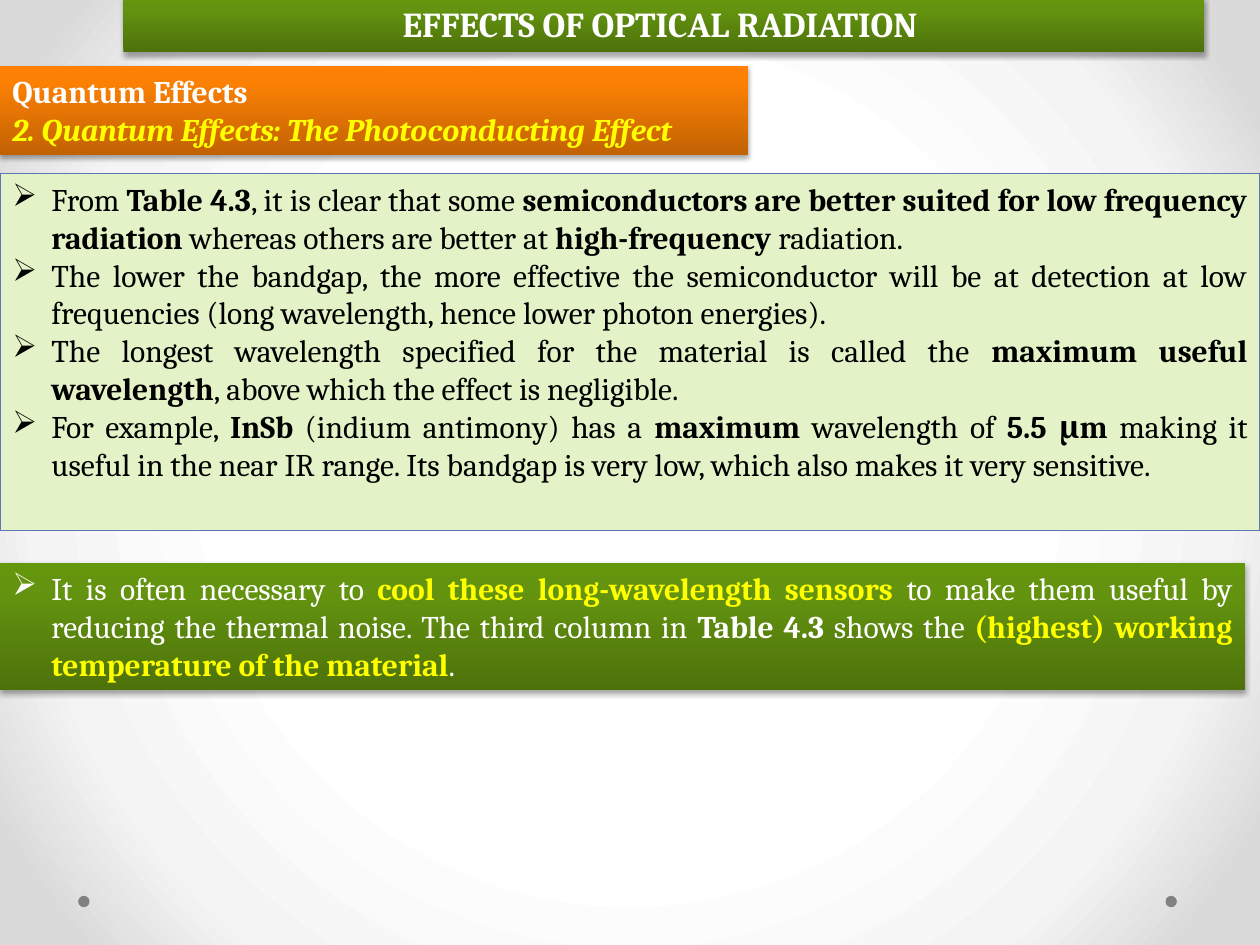
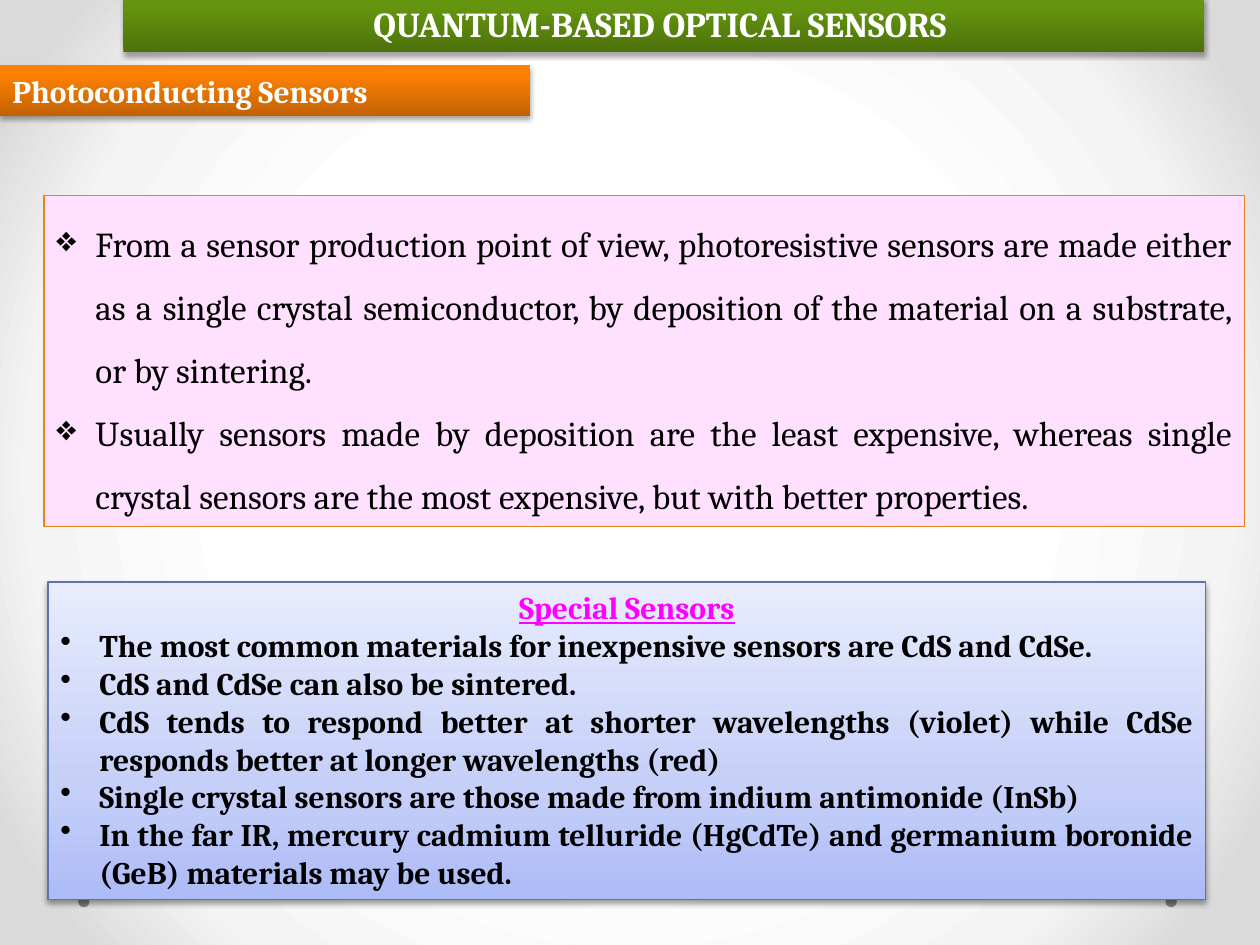
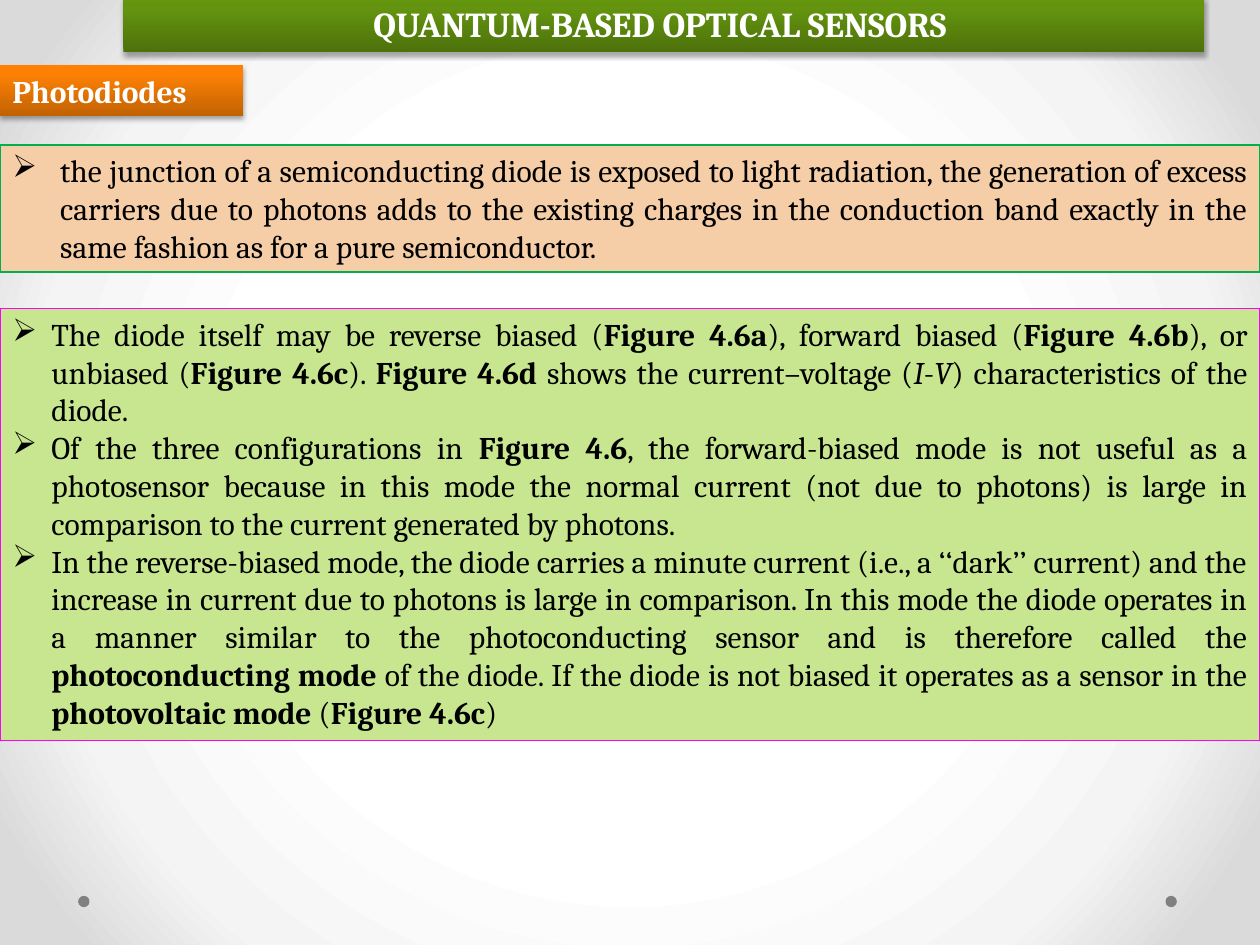
from dataclasses import dataclass, replace
from typing import NamedTuple

from lxml.etree import SubElement
from pptx import Presentation
from pptx.dml.color import RGBColor
from pptx.dml.fill import FillFormat
from pptx.enum.shapes import MSO_SHAPE as Kind
from pptx.enum.text import MSO_ANCHOR as Anchor, PP_ALIGN as Align
from pptx.oxml import parse_xml
from pptx.oxml.ns import nsdecls, qn
from pptx.shapes.autoshape import Shape
from pptx.slide import Slide
from pptx.util import Inches, Pt

FONT = "Cambria"
WHITE, BLACK, GRAY = "FFFFFF", "000000", "808080"
YELLOW, PINK = "FFFF00", "FF00FF"
ARROW, GEM, DOT = "➢", "❖", "•"

Stops = tuple[tuple[int, str], ...]
GREEN: Stops = ((0, "4D720B"), (80, "64940F"), (100, "65970C"))
ORANGE: Stops = ((0, "C26203"), (80, "FB8004"), (100, "FF8002"))
BLUE: Stops = ((0, "ADBBF6"), (35, "C5CFF8"), (100, "E8ECFD"))
PAPER: Stops = ((50, WHITE), (76, "F4F4F4"), (92, "DADADA"))
LINEAR = '<a:lin ang="16200000" scaled="0"/>'
ROUND = '<a:path path="circle"><a:fillToRect l="50000" t="50000" r="50000" b="50000"/></a:path>'


class Run(NamedTuple):
    text: str
    bold: bool = False
    slant: bool = False
    under: bool = False
    ink: str = ""


class Par(NamedTuple):
    runs: tuple[Run, ...]
    mark: str = ""
    align: Align = Align.JUSTIFY
    indent: float = 0.31
    space: float = 1.0


@dataclass(frozen=True)
class Box:
    left: float
    top: float
    width: float
    height: float
    fill: str | Stops
    pars: tuple[Par, ...] = ()
    line: str = ""
    ink: str = BLACK
    size: int = 18
    shade: int = 0
    kind: Kind = Kind.RECTANGLE


class Page(NamedTuple):
    title: str
    head: Box
    boxes: tuple[Box, ...]


def hue(code: str) -> RGBColor:
    return RGBColor.from_string(code)


def bold(text: str, ink: str = "") -> Run:
    return Run(text, bold=True, ink=ink)


def point(*parts: str | Run, mark: str = ARROW) -> Par:
    return Par(tuple(Run(p) if isinstance(p, str) else p for p in parts), mark)


def head(width: float, text: str, sub: str = "") -> Box:
    runs = [bold(text)] + ([Run(sub, True, True, ink=YELLOW)] if sub else [])
    pars = tuple(Par((run,), align=Align.LEFT) for run in runs)
    return Box(0, 0.52, width, 0.71 if sub else 0.4, ORANGE, pars, ink=WHITE, shade=35)


def blend(fill: FillFormat, owner, stops: Stops, way: str) -> None:
    fill.solid()
    marks = "".join(
        f'<a:gs pos="{pos * 1000}"><a:srgbClr val="{hue(code)}"/></a:gs>' for pos, code in stops
    )
    grad = parse_xml(
        f'<a:gradFill {nsdecls("a")} rotWithShape="1"><a:gsLst>{marks}</a:gsLst>{way}</a:gradFill>'
    )
    solid = owner.find(qn("a:solidFill"))
    owner.replace(solid, grad)


def cast(shape: Shape, alpha: int) -> None:
    effect = shape.element.spPr.find(qn("a:effectLst"))
    effect.append(parse_xml(
        f'<a:outerShdw {nsdecls("a")} blurRad="{Pt(3.1)}" dist="{Pt(1.8)}" dir="5400000" '
        f'rotWithShape="0"><a:srgbClr val="{hue(BLACK)}"><a:alpha val="{alpha * 1000}"/>'
        "</a:srgbClr></a:outerShdw>"
    ))


def write(shape: Shape, box: Box) -> None:
    frame = shape.text_frame
    frame.word_wrap = True
    frame.vertical_anchor = Anchor.TOP
    for num, par in enumerate(box.pars):
        line = frame.add_paragraph() if num else frame.paragraphs[0]
        line.alignment = par.align
        line.line_spacing = par.space
        if par.mark:
            props = line._p.get_or_add_pPr()
            props.set("marL", str(Inches(par.indent)))
            props.set("indent", str(-Inches(par.indent)))
            SubElement(props, qn("a:buChar")).set("char", par.mark)
        for item in par.runs:
            run = line.add_run()
            run.text = item.text
            font = run.font
            font.name, font.size = FONT, Pt(box.size)
            font.bold, font.italic, font.underline = item.bold, item.slant, item.under
            font.color.rgb = hue(item.ink or box.ink)


def draw(slide: Slide, box: Box) -> None:
    spot = (Inches(v) for v in (box.left, box.top, box.width, box.height))
    shape = slide.shapes.add_shape(box.kind, *spot)
    shape.shadow.inherit = False
    if isinstance(box.fill, str):
        shape.fill.solid()
        shape.fill.fore_color.rgb = hue(box.fill)
    else:
        blend(shape.fill, shape.element.spPr, box.fill, LINEAR)
    if box.line:
        shape.line.color.rgb = hue(box.line)
        shape.line.width = Pt(0.75)
    else:
        shape.line.fill.background()
    if box.shade:
        cast(shape, box.shade)
    write(shape, box)


DOTS = tuple(Box(x, 7.11, 0.09, 0.09, GRAY, kind=Kind.OVAL) for x in (9.25, 0.62))
BAND = Box(0.98, -0.03, 8.58, 0.44, GREEN, ink=WHITE, size=20, shade=35)

BANDGAP = (
    point(
        "From ", bold("Table 4.3"), ", it is clear that some ",
        bold("semiconductors are better suited for low frequency radiation"),
        " whereas others are better at ", bold("high-frequency "), "radiation. ",
    ),
    point(
        "The lower the bandgap, the more effective the semiconductor will be at detection "
        "at low frequencies (long wavelength, hence lower photon energies). "
    ),
    point(
        "The longest wavelength specified for the material is called the ",
        bold("maximum useful wavelength"), ", above which the effect is negligible. ",
    ),
    point(
        "For example, ", bold("InSb"), " (indium antimony) has a ", bold("maximum"),
        " wavelength of ", bold("5.5 μm "),
        "making it useful in the near IR range. Its bandgap is very low, "
        "which also makes it very sensitive. ",
    ),
)
COOLING = point(
    "It is often necessary to ", bold("cool these long-wavelength sensors ", YELLOW),
    "to make them useful by reducing the thermal noise. The third column in ",
    bold("Table 4.3 "), "shows the ",
    bold("(highest) working temperature of the material", YELLOW), ". ",
)
MAKING = tuple(
    point(text, mark=GEM)._replace(space=1.5)
    for text in (
        "From a sensor production point of view, photoresistive sensors are made either as a "
        "single crystal semiconductor, by deposition of the material on a substrate, "
        "or by sintering. ",
        "Usually sensors made by deposition are the least expensive, whereas single crystal "
        "sensors are the most expensive, but with better properties. ",
    )
)
SPECIAL = (
    Par((Run("Special Sensors", True, under=True, ink=PINK),), align=Align.CENTER),
    *(
        point(bold(text), mark=DOT)
        for text in (
            "The most common materials for inexpensive sensors are CdS and CdSe.",
            "CdS and CdSe can also be sintered. ",
            "CdS tends to respond better at shorter wavelengths (violet) while CdSe "
            "responds better at longer wavelengths (red) ",
            "Single crystal sensors are those made from indium antimonide (InSb) ",
            "In the far IR, mercury cadmium telluride (HgCdTe) and germanium boronide (GeB) "
            "materials may be used.",
        )
    ),
)
JUNCTION = point(
    "the junction of a semiconducting diode is exposed to light radiation, the generation of "
    "excess carriers due to photons adds to the existing charges in the conduction band "
    "exactly in the same fashion as for a pure semiconductor. "
)._replace(indent=0.38)
BIAS = (
    point(
        "The diode itself may be reverse biased (", bold("Figure 4.6a"), "), forward biased (",
        bold("Figure 4.6b"), "), or unbiased (", bold("Figure 4.6c"), "). ",
        bold("Figure 4.6d "), "shows the current–voltage (", Run("I", slant=True), "-",
        Run("V", slant=True), ") characteristics of the diode. ",
    ),
    point(
        "Of the three configurations in ", bold("Figure 4.6"),
        ", the forward-biased mode is not useful as a photosensor because in this mode the "
        "normal current (not due to photons) is large in comparison to the current generated "
        "by photons. ",
    ),
    point(
        "In the reverse-biased mode, the diode carries a minute current (i.e., a ‘‘dark’’ "
        "current) and the increase in current due to photons is large in comparison. In this "
        "mode the diode operates in a manner similar to the photoconducting sensor and is "
        "therefore called the ",
        bold("photoconducting mode "),
        "of the diode. If the diode is not biased it operates as a sensor in the ",
        bold("photovoltaic mode "), "(", bold("Figure 4.6c"), ") ",
    ),
)

SENSORS = "QUANTUM-BASED OPTICAL SENSORS "
PAGES = (
    Page(
        "EFFECTS OF OPTICAL RADIATION ",
        head(5.94, "Quantum Effects", "2. Quantum Effects: The Photoconducting Effect"),
        (
            Box(0, 1.38, 10, 2.83, "E3F2C7", BANDGAP, "6076B4"),
            Box(0, 4.47, 9.88, 1.01, GREEN, (COOLING,), ink=WHITE, shade=35),
        ),
    ),
    Page(
        SENSORS,
        head(4.21, "Photoconducting Sensors"),
        (
            Box(0.35, 1.55, 9.53, 2.63, "FFE1FF", MAKING, "E68422", size=20),
            Box(0.38, 4.62, 9.19, 2.52, BLUE, SPECIAL, "5C72B2", shade=38),
        ),
    ),
    Page(
        SENSORS,
        head(1.93, "Photodiodes"),
        (
            Box(0, 1.15, 10, 1.01, "F5CEA7", (JUNCTION,), "00B050"),
            Box(0, 2.45, 10, 3.43, "C7E68F", BIAS, PINK),
        ),
    ),
)


def main() -> None:
    deck = Presentation()
    deck.slide_width, deck.slide_height = Inches(10), Inches(7.5)
    fill = deck.slide_master.background.fill
    fill.solid()
    back = deck.slide_master.element.find(".//" + qn("p:bgPr"))
    blend(fill, back, PAPER, ROUND)
    for page in PAGES:
        slide = deck.slides.add_slide(deck.slide_layouts[6])
        title = Par((bold(page.title),), align=Align.CENTER)
        for box in (*DOTS, replace(BAND, pars=(title,)), page.head, *page.boxes):
            draw(slide, box)
    deck.save("out.pptx")


if __name__ == "__main__":
    main()
